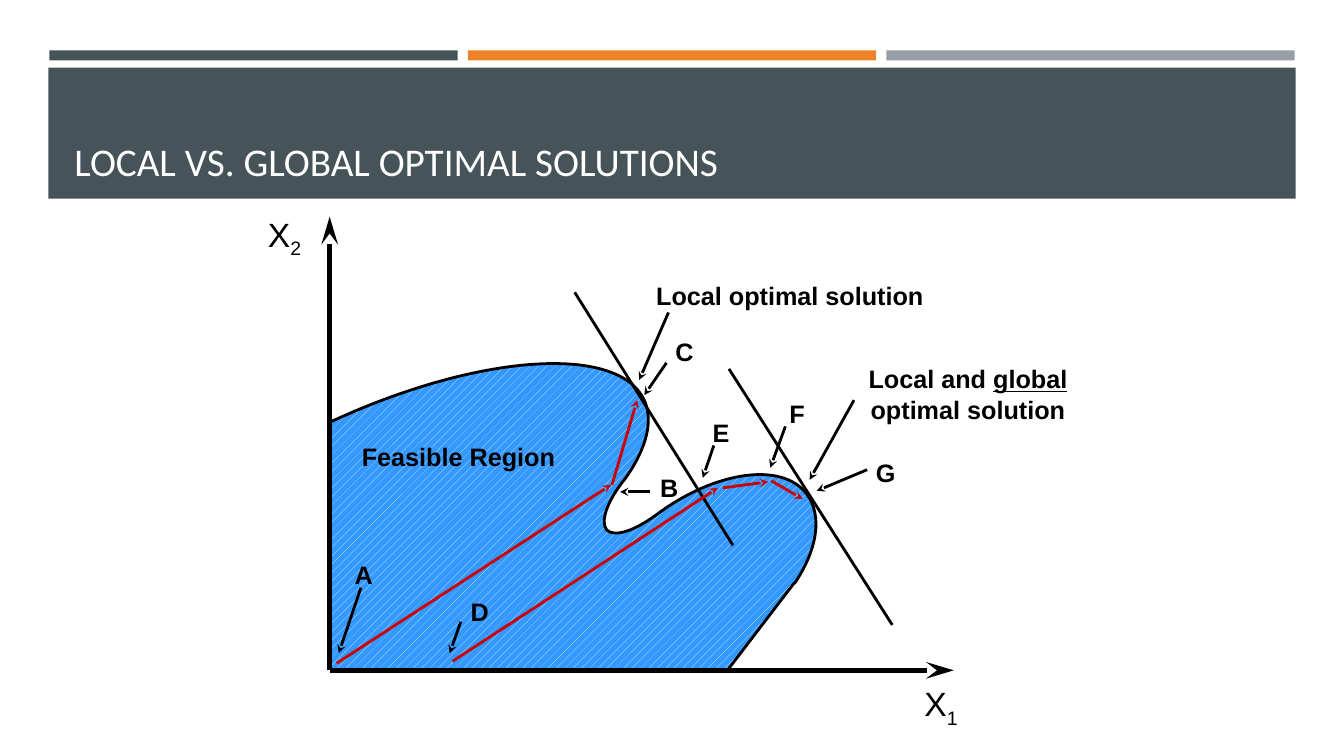
"""Builds the slide on local and global optimal solutions."""
from lxml import etree
from pptx import Presentation
from pptx.dml.color import RGBColor
from pptx.enum.dml import MSO_PATTERN
from pptx.enum.shapes import MSO_CONNECTOR, MSO_SHAPE
from pptx.enum.text import MSO_ANCHOR, MSO_AUTO_SIZE, PP_ALIGN
from pptx.oxml.ns import qn
from pptx.util import Inches, Pt

RECTANGLE = MSO_SHAPE.RECTANGLE
STRAIGHT = MSO_CONNECTOR.STRAIGHT
HATCH = MSO_PATTERN.PERCENT_20
BOTTOM = MSO_ANCHOR.BOTTOM
GROW, FIXED = MSO_AUTO_SIZE.SHAPE_TO_FIT_TEXT, MSO_AUTO_SIZE.NONE
CENTER, LEFT = PP_ALIGN.CENTER, PP_ALIGN.LEFT
COLORS = {name: RGBColor.from_string(value) for name, value in {
    "slate": "465359", "orange": "ED8428", "gray": "969FA7", "white": "FFFFFF",
    "black": "000000", "red": "CC0000", "blue": "3399FF", "pale": "EBEBEB"}.items()}

prs = Presentation()
prs.slide_width, prs.slide_height = Inches(13.33), Inches(7.5)
s = prs.slides.add_slide(prs.slide_layouts[6])


def add_line(start, end, color="black", width=2, head="med"):
    c = s.shapes.add_connector(STRAIGHT, *map(Inches, start + end))
    c.line.color.rgb = COLORS[color]
    c.line.width = Pt(width)
    spPr = c._element.spPr
    if head:
        etree.SubElement(spPr.find(qn("a:ln")), qn("a:tailEnd"),
                         type="stealth", w="med", len=head)
    etree.SubElement(spPr, qn("a:effectLst"))


def add_text(box, runs, size=18, bold=True, font="Arial", color="black", align=LEFT):
    tf = s.shapes.add_textbox(*map(Inches, box)).text_frame
    tf.word_wrap = True
    tf.auto_size = GROW
    p = tf.paragraphs[0]
    p.alignment = align
    for text in runs:
        r = p.add_run()
        r.text = text
        r.font.size, r.font.bold, r.font.name = Pt(size), bold, font
        r.font.color.rgb = COLORS[color]
    return tf


bars = [(0.49 + 4.15 * i, 0.5, 4.05, 0.1, color)
        for i, color in enumerate(("slate", "orange", "gray"))]
for *box, color in bars + [(0.48, 0.67, 12.37, 1.3, "slate")]:
    sp = s.shapes.add_shape(RECTANGLE, *map(Inches, box))
    sp.shadow.inherit = False
    sp.fill.solid()
    sp.fill.fore_color.rgb = COLORS[color]
    sp.line.fill.background()
title = add_text((0.64, 0.77, 12.06, 1.11), ["LOCAL VS. GLOBAL OPTIMAL SOLUTIONS"],
                 28, False, "Calibri", "white")
title.auto_size = FIXED
title.vertical_anchor = BOTTOM

curves = [
    [(3.27, 4.19), (4.73, 3.51), (6.13, 3.41), (6.39, 3.97),
     (6.48, 4.17), (6.42, 4.44), (6.2, 4.75)],
    [(6.2, 4.75), (6.02, 4.97), (5.95, 5.18), (6.02, 5.26),
     (6.1, 5.33), (6.29, 5.27), (6.52, 5.1)],
    [(6.52, 5.1), (7.1, 4.67), (7.76, 4.58), (8, 4.9),
     (8.16, 5.11), (8.11, 5.45), (7.88, 5.79)],
]
steps = 8
region = [curves[0][0]]
for curve in curves:
    for first in (0, 3):
        a, b, c, d = curve[first:first + 4]
        for t in (n / steps for n in range(1, steps + 1)):
            u = 1 - t
            region.append(tuple(
                u ** 3 * a[k] + 3 * u * u * t * b[k] + 3 * u * t * t * c[k] + t ** 3 * d[k]
                for k in (0, 1)))
region += [(7.22, 6.65), (3.27, 6.65)]

for points, filled in [(region, True)] + [(curve, False) for curve in curves]:
    emu = [(Inches(x), Inches(y)) for x, y in points]
    builder = s.shapes.build_freeform(*emu[0])
    builder.add_line_segments(emu[1:], close=filled)
    sp = builder.convert_to_shape()
    sp.shadow.inherit = False
    if filled:
        sp.fill.patterned()
        sp.fill.pattern = HATCH
        sp.fill.fore_color.rgb = COLORS["pale"]
        sp.fill.back_color.rgb = COLORS["blue"]
        sp.line.fill.background()
    else:
        sp.fill.background()
        sp.line.color.rgb = COLORS["black"]
        sp.line.width = Pt(2)
        outline = next(sp._element.iter(qn("a:path")))
        segments = outline.findall(qn("a:lnTo"))
        for first in (0, 3):
            bezier = etree.SubElement(outline, qn("a:cubicBezTo"))
            for segment in segments[first:first + 3]:
                bezier.append(segment[0])
                outline.remove(segment)

origin = (3.27, 6.65)
for axis_end in ((3.27, 2.15), (9.46, 6.65)):
    add_line(origin, axis_end, width=4, head="lg")
for start, end in [((7.88, 5.78), (7.23, 6.63)), ((5.7, 2.9), (7.27, 5.41)),
                   ((7.23, 3.66), (8.85, 6.2))]:
    add_line(start, end, head=None)
for start, end in [((3.34, 6.58), (6.06, 4.81)), ((6.07, 4.81), (6.32, 3.97)),
                   ((4.49, 6.56), (7.12, 4.84)), ((7.17, 4.84), (7.62, 4.78)),
                   ((7.65, 4.77), (7.96, 4.95))]:
    add_line(start, end, "red")

for letter, left, top, start, end in [
        ("A", 3.42, 5.5, (3.58, 5.83), (3.36, 6.48)),
        ("B", 6.45, 4.64, (6.45, 4.88), (6.15, 4.88)),
        ("C", 6.6, 3.29, (6.61, 3.6), (6.39, 3.92)),
        ("D", 4.57, 5.87, (4.57, 6.17), (4.46, 6.48)),
        ("E", 6.97, 4.09, (7.08, 4.42), (6.97, 4.74)),
        ("F", 7.73, 3.9, (7.79, 4.23), (7.64, 4.64)),
        ("G", 8.59, 4.49, (8.6, 4.66), (8.1, 4.87))]:
    add_text((left, top, 0.3, 0.4), [letter])
    add_line(start, end)

add_text((3.49, 4.33, 2.21, 0.4), ["Feasible Region"])
add_text((6.41, 2.73, 3.23, 0.4), ["Local optimal solution"])
add_line((6.63, 3.1), (6.34, 3.77))
tf = add_text((8.49, 3.56, 2.22, 0.7), ["Local and ", "global ", "optimal solution"], align=CENTER)
tf.paragraphs[0].runs[1].font.underline = True
add_line((8.47, 3.97), (8.03, 4.76))

for digit, left, top in (("1", 9.07, 6.73), ("2", 2.56, 2.07)):
    tf = add_text((left, top, 0.87, 0.51), ["X", digit], 24, False)
    tf.paragraphs[0].runs[1].font._element.set("baseline", "-25000")

prs.save("out.pptx")
